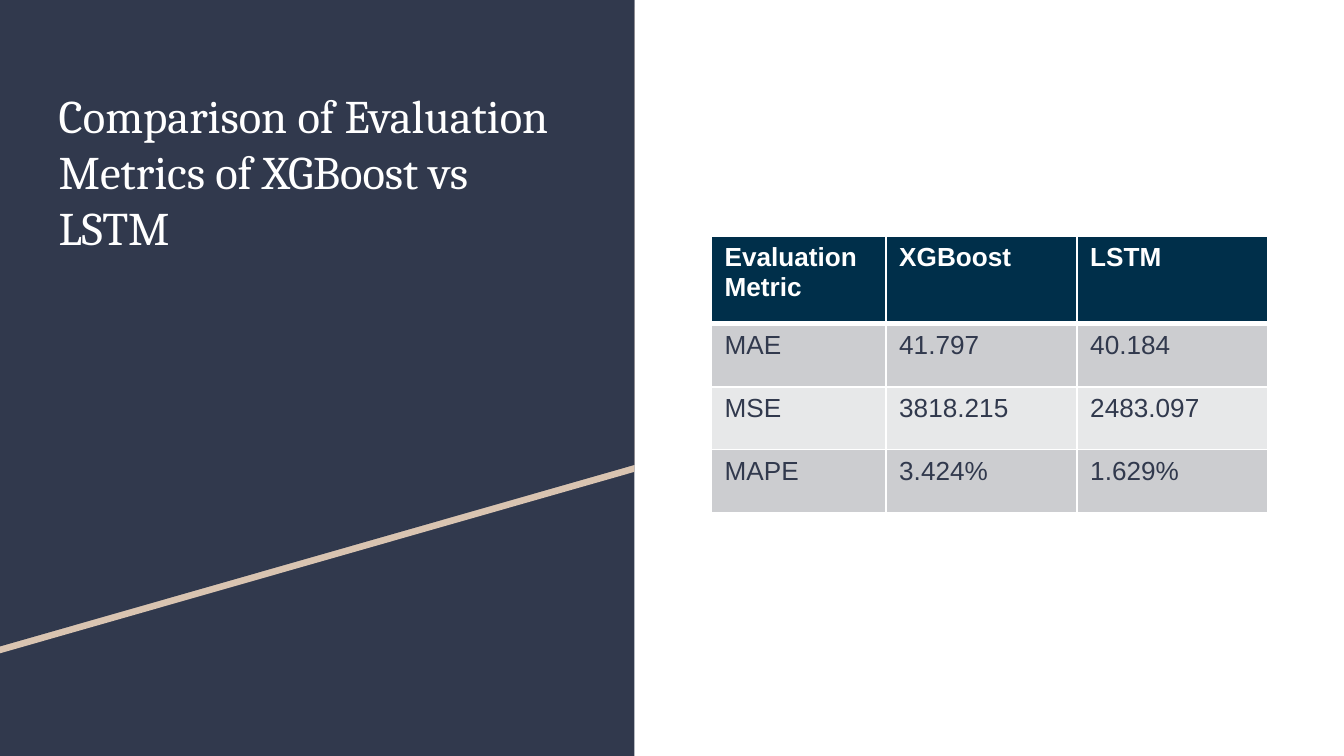
from dataclasses import dataclass

from lxml import etree
from pptx import Presentation, util as u
from pptx.dml.color import RGBColor
from pptx.enum import shapes, text
from pptx.oxml import ns
from pptx.util import Cm


@dataclass(frozen=True)
class Theme:
    navy: str = "31394D"
    sand: str = "D9C4B1"
    white: str = "FFFFFF"
    header: str = "002F4A"
    bands: tuple = ("CCCDD0", "E7E8E9")
    title_font: str = "Cambria"
    body_font: str = "Arial"
    title_size: int = 25
    table_size: int = 14
    thin: int = 1
    thick: int = 3


THEME = Theme()
PAGE_WIDTH, PAGE_HEIGHT = 25.4, 14.29
PANEL_WIDTH = 11.99
SLOPE_LEFT, SLOPE_RIGHT = 12.22, 8.79
STRIPE = 0.13
METRICS = [
    ("Evaluation Metric", "XGBoost", "LSTM"),
    ("MAE", "41.797", "40.184"),
    ("MSE", "3818.215", "2483.097"),
    ("MAPE", "3.424%", "1.629%"),
]


def apply(target, values):
    for name, value in values.items():
        setattr(target, name, value)


def paint(shape, color):
    shape.shadow.inherit = False
    shape.fill.solid()
    shape.fill.fore_color.rgb = RGBColor.from_string(color)
    shape.line.fill.background()


def write(frame, words, size, font, color, bold=False):
    para = frame.paragraphs[0]
    para.alignment = text.PP_ALIGN.LEFT
    span = para.add_run()
    span.text = words
    apply(span.font, {"size": u.Pt(size), "name": font, "bold": bold})
    span.font.color.rgb = RGBColor.from_string(color)


def add_panel(page):
    panel = page.shapes.add_shape(
        shapes.MSO_SHAPE.RECTANGLE, 0, 0, Cm(PANEL_WIDTH), Cm(PAGE_HEIGHT))
    paint(panel, THEME.navy)


def add_slope(page, top, color):
    """Draw a panel-wide block with a slanted lower edge, shifted down by top."""
    builder = page.shapes.build_freeform(0, Cm(top))
    builder.add_line_segments([
        (Cm(PANEL_WIDTH), Cm(top)),
        (Cm(PANEL_WIDTH), Cm(top + SLOPE_RIGHT)),
        (0, Cm(top + SLOPE_LEFT)),
    ], close=True)
    paint(builder.convert_to_shape(), color)


def add_title(page, words):
    title = page.shapes.title
    apply(title, {"left": Cm(0.86), "top": Cm(1.4),
                  "width": Cm(10.29), "height": Cm(6.96)})
    frame = title.text_frame
    margins = ("margin_left", "margin_top", "margin_right", "margin_bottom")
    apply(frame, dict.fromkeys(margins, Cm(0.25)))
    apply(frame, {"word_wrap": True, "auto_size": text.MSO_AUTO_SIZE.NONE,
                  "vertical_anchor": text.MSO_ANCHOR.TOP})
    write(frame, words, THEME.title_size, THEME.title_font, THEME.white)
    # Bring the title in front of the panel
    page.shapes._spTree.append(title._element)


def set_borders(cell, top, bottom):
    properties = cell._tc.get_or_add_tcPr()
    widths = {"lnL": THEME.thin, "lnR": THEME.thin, "lnT": top, "lnB": bottom}
    for index, (side, width) in enumerate(widths.items()):
        line = etree.Element(ns.qn(f"a:{side}"), w=str(u.Pt(width)))
        fill = etree.SubElement(line, ns.qn("a:solidFill"))
        etree.SubElement(fill, ns.qn("a:srgbClr"), val=THEME.white)
        properties.insert(index, line)


def add_metrics_table(page, rows):
    widths = (3.3, 3.61, 3.61)
    heights = [1.65] + [1.19] * (len(rows) - 1)
    table = page.shapes.add_table(
        len(rows), len(widths), Cm(13.44), Cm(4.47),
        Cm(sum(widths)), Cm(sum(heights))).table
    for column, width in zip(table.columns, widths):
        column.width = Cm(width)
    for index, (row, height, values) in enumerate(zip(table.rows, heights, rows)):
        row.height = Cm(height)
        is_header = index == 0
        fill = THEME.header if is_header else THEME.bands[(index - 1) % 2]
        color = THEME.white if is_header else THEME.navy
        top = THEME.thick if index == 1 else THEME.thin
        bottom = THEME.thick if is_header else THEME.thin
        for cell, value in zip(row.cells, values):
            cell.fill.solid()
            cell.fill.fore_color.rgb = RGBColor.from_string(fill)
            set_borders(cell, top, bottom)
            write(cell.text_frame, value, THEME.table_size,
                  THEME.body_font, color, is_header)


def main():
    deck = Presentation()
    apply(deck, {"slide_width": Cm(PAGE_WIDTH), "slide_height": Cm(PAGE_HEIGHT)})
    page = deck.slides.add_slide(deck.slide_layouts.get_by_name("Title Only"))

    # Left panel with its slanted stripe
    add_panel(page)
    add_slope(page, STRIPE, THEME.sand)
    add_slope(page, 0, THEME.navy)

    # Title and results
    add_title(page, "Comparison of Evaluation Metrics of XGBoost vs LSTM")
    add_metrics_table(page, METRICS)

    deck.save("out.pptx")


if __name__ == "__main__":
    main()
